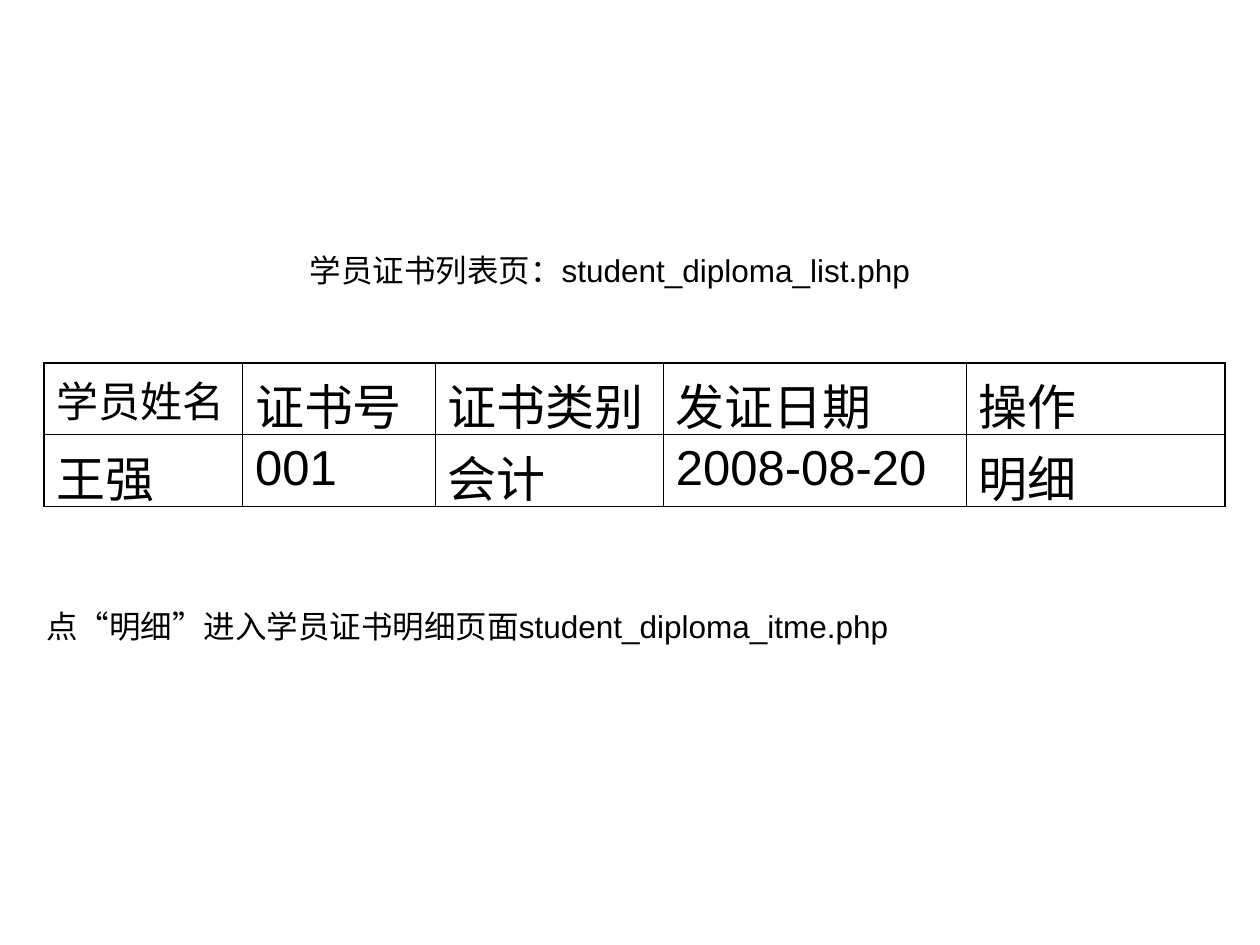
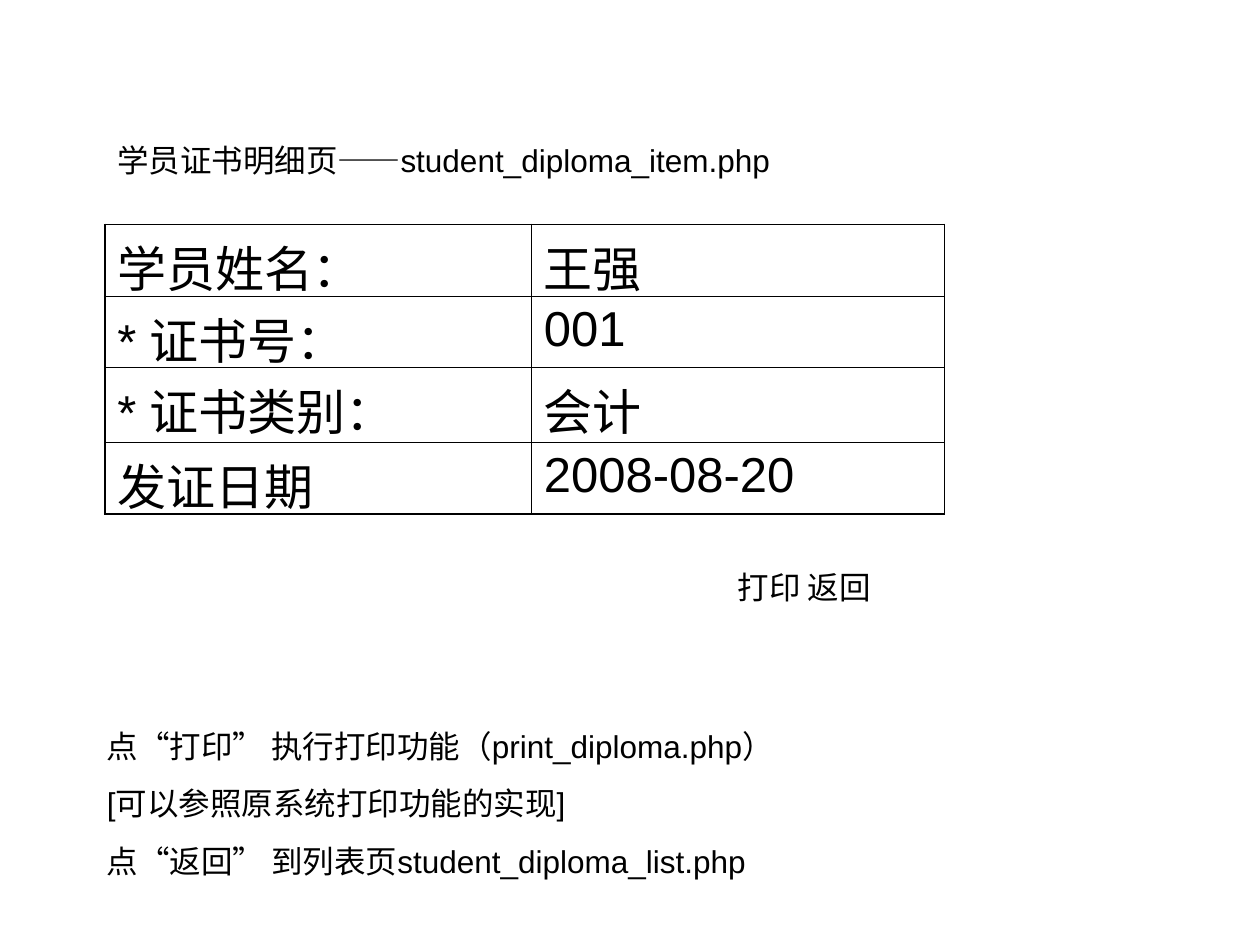
import pptx
import pptx.dml.color
import pptx.enum.text
import pptx.util
import pptx.oxml

Pt = pptx.util.Pt
BLACK = pptx.dml.color.RGBColor(0, 0, 0)
WHITE = pptx.dml.color.RGBColor(255, 255, 255)
NS = "http://schemas.openxmlformats.org/drawingml/2006/main"
EDGE, GRID = 1.08, 0.45
INSET = dict(margin_left=Pt(7.2), margin_right=Pt(7.2),
             margin_top=Pt(3.6), margin_bottom=Pt(3.6))


def apply(item, **form):
    for key, value in form.items():
        setattr(item, key, value)


class Page:
    """Holds the shared style and the current slide."""

    def __init__(self, deck):
        self.deck = deck
        self.slide = None

    def start(self):
        self.slide = self.deck.slides.add_slide(self.deck.slide_layouts[6])
        fill = self.slide.background.fill
        fill.solid()
        fill.fore_color.rgb = WHITE

    def line(self, para, text, size, before, align=None):
        apply(para, space_before=Pt(before), alignment=align)
        run = para.add_run()
        run.text = text
        apply(run.font, name="Arial", size=Pt(size))
        run.font.color.rgb = BLACK

    def text(self, box, lines, before=11.2, align=None, indent=0):
        shape = self.slide.shapes.add_textbox(*map(Pt, box))
        frame = shape.text_frame
        apply(frame, word_wrap=True, **INSET,
              auto_size=pptx.enum.text.MSO_AUTO_SIZE.SHAPE_TO_FIT_TEXT)
        for i, text in enumerate(lines):
            para = frame.add_paragraph() if i else frame.paragraphs[0]
            self.line(para, text, 18, before, align)
            if indent:
                para._p.get_or_add_pPr().set("marL", str(Pt(indent)))

    def border(self, cell, sides):
        props = cell._tc.get_or_add_tcPr()
        for i, (side, width) in enumerate(sides.items()):
            props.insert(i, pptx.oxml.parse_xml(
                f'<a:ln{side} xmlns:a="{NS}" w="{Pt(width)}"><a:solidFill>'
                f'<a:srgbClr val="{BLACK}"/></a:solidFill></a:ln{side}>'))

    def table(self, left, top, cols, rows, data, small=()):
        """Heavy outer edge, thin inner grid; cells in small get 24 pt."""
        grid = self.slide.shapes.add_table(
            len(rows), len(cols), Pt(left), Pt(top),
            Pt(sum(cols)), Pt(sum(rows))).table
        apply(grid, first_row=False, horz_banding=False)
        for col, width in zip(grid.columns, cols):
            col.width = Pt(width)
        for row, height in zip(grid.rows, rows):
            row.height = Pt(height)
        for r, texts in enumerate(data):
            for c, text in enumerate(texts):
                cell = grid.cell(r, c)
                apply(cell, **INSET)
                cell.fill.background()
                size = 24 if (r, c) in small else 28
                self.line(cell.text_frame.paragraphs[0], text, size, size / 4)
                outer = dict(L=c == 0, R=c == len(cols) - 1,
                             T=r == 0, B=r == len(rows) - 1)
                self.border(cell, {side: EDGE if out else GRID
                                   for side, out in outer.items()})


def main():
    deck = pptx.Presentation()
    apply(deck, slide_width=Pt(720), slide_height=Pt(540))
    page = Page(deck)

    # Certificate list
    page.start()
    page.text((25.2, 139.7, 646.6, 28.8),
              ["学员证书列表页：student_diploma_list.php"],
              before=4.5, align=pptx.enum.text.PP_ALIGN.CENTER)
    page.table(25.2, 207.4, [113.4, 110.2, 130.3, 173.1, 147.7], [41, 41],
               [["学员姓名", "证书号", "证书类别", "发证日期", "操作"],
                ["王强", "001", "会计", "2008-08-20", "明细"]],
               small=[(0, 0)])
    page.text((19.4, 343.4, 668.9, 28.8),
              ["点“明细”进入学员证书明细页面student_diploma_itme.php"])

    # Certificate details
    page.start()
    page.text((59.8, 77, 607, 28.8),
              ["学员证书明细页——student_diploma_item.php"])
    page.table(59.8, 128.2, [243.8, 236.2], [41, 41, 42.5, 41],
               [["学员姓名：", "王强"],
                ["* 证书号：", "001"],
                ["* 证书类别：", "会计"],
                ["发证日期", "2008-08-20"]])
    page.text((54, 411.8, 601.2, 95),
              ["点“打印” 执行打印功能（print_diploma.php）",
               "[可以参照原系统打印功能的实现]",
               "点“返回” 到列表页student_diploma_list.php"])
    page.text((314.6, 321.1, 226.8, 28.8), ["打印 返回"], indent=100)

    deck.save("out.pptx")


if __name__ == "__main__":
    main()
